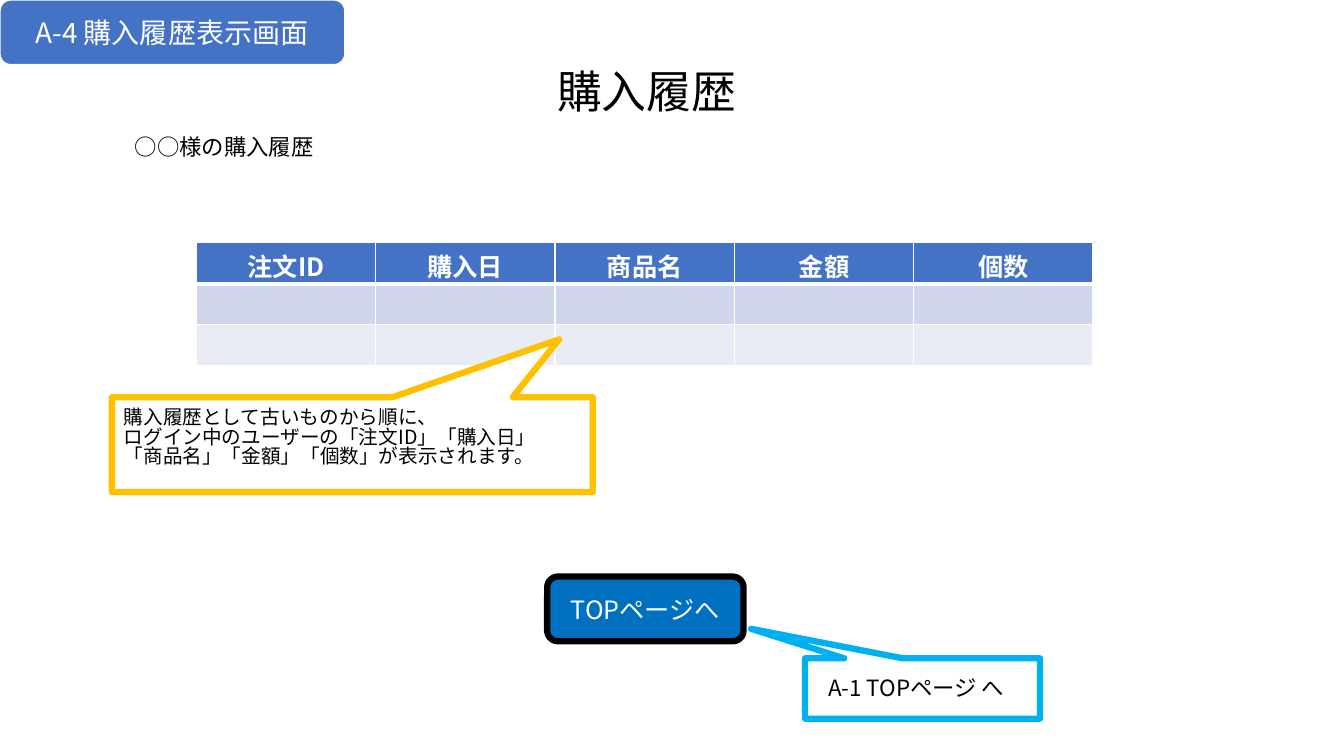
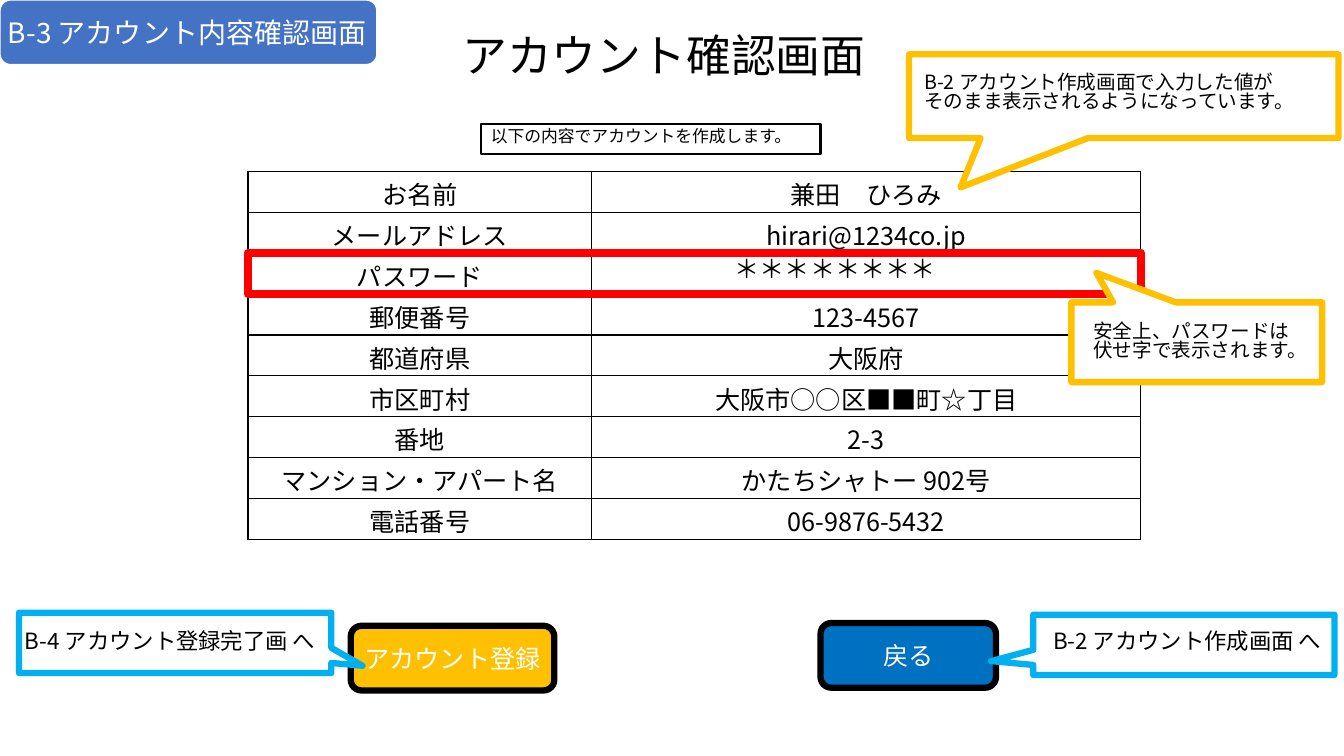
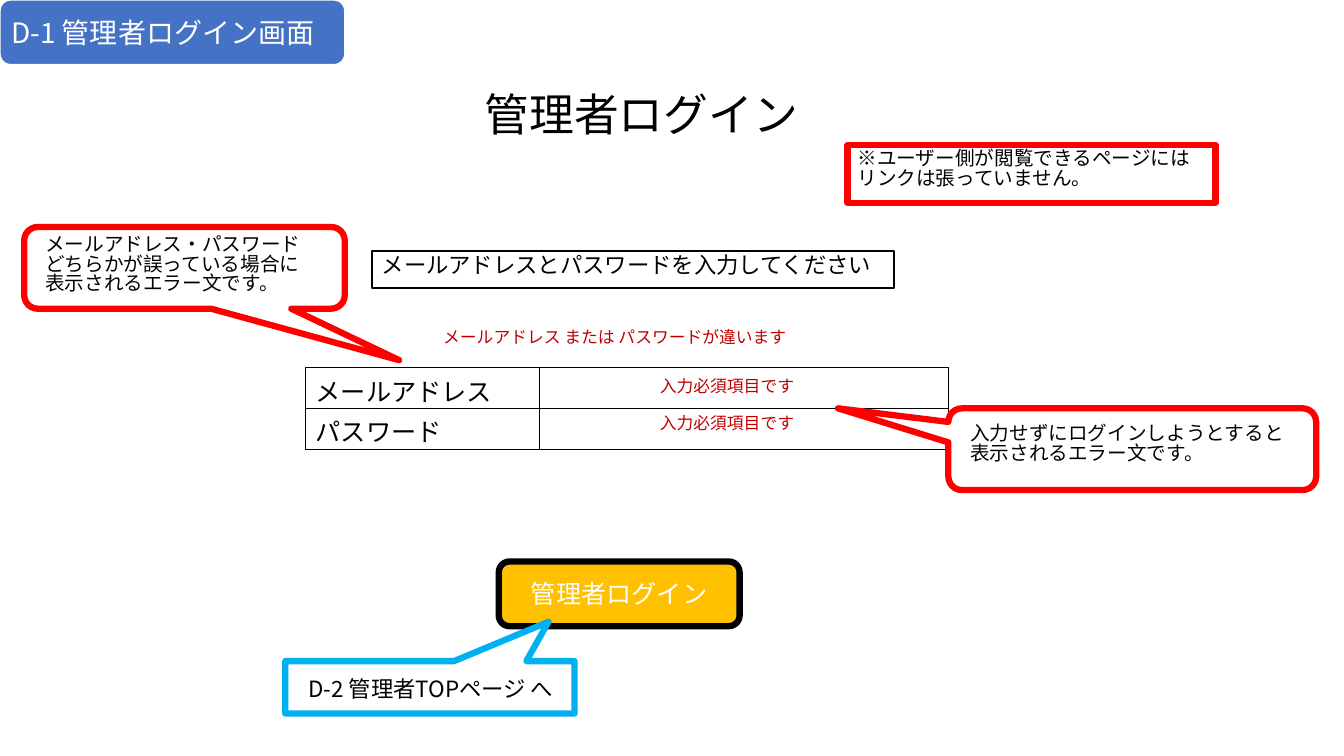
from lxml.etree import SubElement
from pptx import Presentation
from pptx.dml.color import RGBColor
from pptx.enum.shapes import MSO_SHAPE
from pptx.enum.text import MSO_ANCHOR, PP_ALIGN
from pptx.oxml.ns import qn
from pptx.util import Cm, Pt

FONT = "Noto Sans CJK JP"
COLORS = {
    "white": "FFFFFF", "black": "000000", "tag": "4472C4",
    "band1": "CFD5EA", "band2": "E9EBF5",
    "blue": "0070C0", "sky": "00B0F0", "amber": "FFC000",
    "red": "FF0000", "error": "C00000",
}
TAG_H = BUTTON_H = 1.63
ROW_H = 1.03
BOX_SPACING = 0.83


def rgb(name):
    """Return the palette colour called name."""
    return RGBColor.from_string(COLORS[name])


def write(tf, text, size=18, color="black", bold=False, align=None,
          anchor=MSO_ANCHOR.TOP, spacing=None, inset=None):
    """Fill a text frame, one paragraph for each line of text."""
    tf.word_wrap = True
    tf.vertical_anchor = anchor
    if inset is not None:
        tf.margin_left = tf.margin_right = Cm(inset)
        tf.margin_top = tf.margin_bottom = Cm(inset)
    for i, line in enumerate(text.split("\n")):
        p = tf.add_paragraph() if i else tf.paragraphs[0]
        p.alignment = align or PP_ALIGN.LEFT
        if spacing:
            p.line_spacing = spacing
        r = p.add_run()
        r.text = line
        r.font.name, r.font.size, r.font.bold = FONT, Pt(size), bold
        r.font.color.rgb = rgb(color)
        SubElement(r._r.get_or_add_rPr(), qn("a:ea")).set("typeface", FONT)


def add_text(s, box, text, **fmt):
    """Place a text box; box is left, top, width, height in cm."""
    sp = s.shapes.add_textbox(*map(Cm, box))
    write(sp.text_frame, text, **{"spacing": BOX_SPACING, **fmt})


def add_box(s, kind, box, fill=None, line="black", width=4.5, adj=()):
    """Place a preset shape with a plain fill and outline."""
    sp = s.shapes.add_shape(kind, *map(Cm, box))
    sp.shadow.inherit = False
    if fill:
        sp.fill.solid()
        sp.fill.fore_color.rgb = rgb(fill)
    else:
        sp.fill.background()
    sp.line.color.rgb = rgb(line)
    sp.line.width = Pt(width)
    for i, value in enumerate(adj):
        sp.adjustments[i] = value
    return sp


def screen(prs, tag, tag_w, tag_dx, title, title_box):
    """Start a slide with its screen tag and page title."""
    s = prs.slides.add_slide(prs.slide_layouts[6])
    add_box(s, MSO_SHAPE.ROUNDED_RECTANGLE, (0, 0, tag_w, TAG_H),
            "tag", "white", 1)
    add_text(s, (tag_dx, 0, tag_w + 0.25, TAG_H), tag, size=20, color="white",
             anchor=MSO_ANCHOR.MIDDLE, spacing=1, inset=0.2)
    add_text(s, title_box, title, size=32)
    return s


def button(s, x, y, w, text, fill):
    """Place a page button."""
    sp = add_box(s, MSO_SHAPE.FLOWCHART_ALTERNATE_PROCESS,
                 (x, y, w, BUTTON_H), fill)
    write(sp.text_frame, text, color="white", align=PP_ALIGN.CENTER,
          anchor=MSO_ANCHOR.MIDDLE)


def notice(s, box, text, size, line="black", width=1.5):
    """Place an outlined message."""
    sp = add_box(s, MSO_SHAPE.RECTANGLE, box, None, line, width)
    write(sp.text_frame, text, size=size, spacing=BOX_SPACING)


def callout(s, box, tip, text, line="amber", size=14, shift=(0.3, 0.38),
            text_w=None, kind=MSO_SHAPE.RECTANGULAR_CALLOUT):
    """Place a callout pointing at tip, its text shifted from the corner."""
    x, y, w, h = box
    add_box(s, kind, box, "white", line, adj=tip)
    add_text(s, (x + shift[0], y + shift[1], text_w or w + 0.4, h),
             text, size=size)


def link(s, box, tip, text, shift=(0.33, 0.38)):
    """Place a callout naming the page a button leads to."""
    callout(s, box, tip, text, "sky", 16, shift)


def error_note(s, box, tip, text, **fmt):
    """Place a rounded red callout explaining an error message."""
    callout(s, box, tip, text, "red",
            kind=MSO_SHAPE.ROUNDED_RECTANGULAR_CALLOUT, **fmt)


def border(cell, color, **widths):
    """Draw the borders of a cell; widths are points by side."""
    pr = cell._tc.get_or_add_tcPr()
    for i, side in enumerate(("lnL", "lnR", "lnT", "lnB")):
        ln = pr.makeelement(qn("a:" + side),
                            {"w": str(Pt(widths.get(side, 1)))})
        fill = SubElement(ln, qn("a:solidFill"))
        SubElement(fill, qn("a:srgbClr")).set("val", COLORS[color])
        pr.insert(i, ln)


def add_grid(s, x, y, cols, rows, line="black", fills=None,
             align=PP_ALIGN.CENTER):
    """Place a table; fills gives one colour a row, the first a header."""
    frame = s.shapes.add_table(len(rows), len(cols), Cm(x), Cm(y),
                               Cm(sum(cols)), Cm(ROW_H * len(rows)))
    table = frame.table
    table.first_row = table.horz_banding = False
    for col, w in zip(table.columns, cols):
        col.width = Cm(w)
    for i, values in enumerate(rows):
        table.rows[i].height = Cm(ROW_H)
        header = bool(fills) and i == 0
        for j, value in enumerate(values):
            cell = table.cell(i, j)
            cell.margin_top, cell.margin_bottom = Cm(0.1), 0
            if fills:
                cell.fill.solid()
                cell.fill.fore_color.rgb = rgb(fills[i])
            else:
                cell.fill.background()
            thick = {"lnB": 3} if header else {"lnT": 3} if fills and i == 1 else {}
            border(cell, line, **thick)
            if value:
                write(cell.text_frame, value, align=align, bold=header,
                      color="white" if header else "black")


def purchase_history(prs):
    """Build the purchase history screen."""
    s = screen(prs, "A-4 購入履歴表示画面", 8.69, 0.69,
               "購入履歴", (13.79, 1.7, 5.87, 1.63))
    header = ("注文ID", "購入日", "商品名", "金額", "個数")
    blank = ("",) * len(header)
    add_grid(s, 4.95, 6.12, [4.52] * len(header), [header, blank, blank],
             "white", ("tag", "band1", "band2"))
    add_text(s, (3.15, 3.35, 8.56, 0.94), "○○様の購入履歴", size=16)
    callout(s, (2.82, 10.01, 12.12, 2.39), (0.43, -1.11),
            "購入履歴として古いものから順に、\n"
            "ログイン中のユーザーの「注文ID」「購入日」\n"
            "「商品名」「金額」「個数」が表示されます。", shift=(0.05, 0.18))
    button(s, 13.79, 14.53, 4.95, "TOPページへ", "blue")
    link(s, (20.29, 16.59, 5.92, 1.52), (-0.73, -0.99), "A-1 TOPページ へ")


def account_check(prs):
    """Build the account confirmation screen."""
    s = screen(prs, "B-3 アカウント内容確認画面", 9.5, 0,
               "アカウント確認画面", (11.4, 0.81, 11.02, 1.63))
    notice(s, (12.12, 3.12, 8.56, 0.76),
           "以下の内容でアカウントを作成します。", 12)
    cols, x, y = (8.66, 13.84), 6.25, 4.32
    add_grid(s, x, y, cols, [
        ("お名前", "兼田　ひろみ"),
        ("メールアドレス", "hirari@1234co.jp"),
        ("パスワード", ""),
        ("郵便番号", "123-4567"),
        ("都道府県", "大阪府"),
        ("市区町村", "大阪市○○区■■町☆丁目"),
        ("番地", "2-3"),
        ("マンション・アパート名", "かたちシャトー 902号"),
        ("電話番号", "06-9876-5432"),
    ])
    password_y = y + 2 * ROW_H
    add_text(s, (18.26, password_y, 5.64, ROW_H), "＊＊＊＊＊＊＊＊")
    button(s, 8.84, 15.77, 5.13, "アカウント登録", "amber")
    button(s, 20.68, 15.7, 4.42, "戻る", "blue")
    link(s, (0.48, 15.44, 7.87, 1.52), (0.6, 0.38),
         "B-4 アカウント登録完了画 へ", (-0.1, 0.36))
    link(s, (26.04, 15.49, 7.59, 1.52), (-0.64, 0.27),
         "B-2 アカウント作成画面 へ", (0.25, 0.3))
    callout(s, (22.91, 1.37, 10.82, 2.11), (-0.38, 1.09),
            "B-2 アカウント作成画面で入力した値が\n"
            "そのまま表示されるようになっています。", shift=(0.13, 0.36))
    add_box(s, MSO_SHAPE.RECTANGLE, (x, password_y, sum(cols), ROW_H),
            line="red", width=6)
    callout(s, (27, 7.62, 6.32, 2.01), (-0.4, -0.87),
            "安全上、パスワードは\n伏せ字で表示されます。")


def admin_login(prs):
    """Build the administrator login screen."""
    s = screen(prs, "D-1 管理者ログイン画面", 8.69, 0.08,
               "管理者ログイン", (11.96, 2.29, 8.69, 1.63))
    notice(s, (9.37, 6.32, 13.16, 0.94),
           "メールアドレスとパスワードを入力してください", 16)
    add_grid(s, 7.7, 9.27, (5.89, 10.31),
             [("メールアドレス", ""), ("パスワード", "")], align=PP_ALIGN.LEFT)
    for x, y, w, text in (
            (10.92, 8.2, 9.32, "メールアドレス または パスワードが違います"),
            (16.38, 9.42, 4.14, "入力必須項目です"),
            (16.38, 10.36, 4.14, "入力必須項目です")):
        add_text(s, (x, y, w, 0.76), text, size=12, color="error")
    error_note(s, (23.9, 10.29, 9.27, 2.06), (-0.8, -0.5),
               "入力せずにログインしようとすると表示されるエラー文です。",
               shift=(0.3, 0.3), text_w=8.64)
    error_note(s, (0.61, 5.72, 8.08, 2.06), (0.67, 1.13),
               "メールアドレス・パスワード\nどちらかが誤っている場合に\n"
               "表示されるエラー文です。", shift=(0.28, 0.1))
    button(s, 12.57, 14.15, 6.07, "管理者ログイン", "amber")
    link(s, (7.19, 16.66, 7.29, 1.32), (0.41, -1.25),
         "D-2 管理者TOPページ へ", (0.33, 0.33))
    notice(s, (21.36, 3.66, 9.27, 1.45),
           "※ユーザー側が閲覧できるページには\nリンクは張っていません。",
           14, "red", 4.5)


prs = Presentation()
prs.slide_width, prs.slide_height = Cm(33.87), Cm(19.05)
for build in (purchase_history, account_check, admin_login):
    build(prs)
prs.save("out.pptx")
